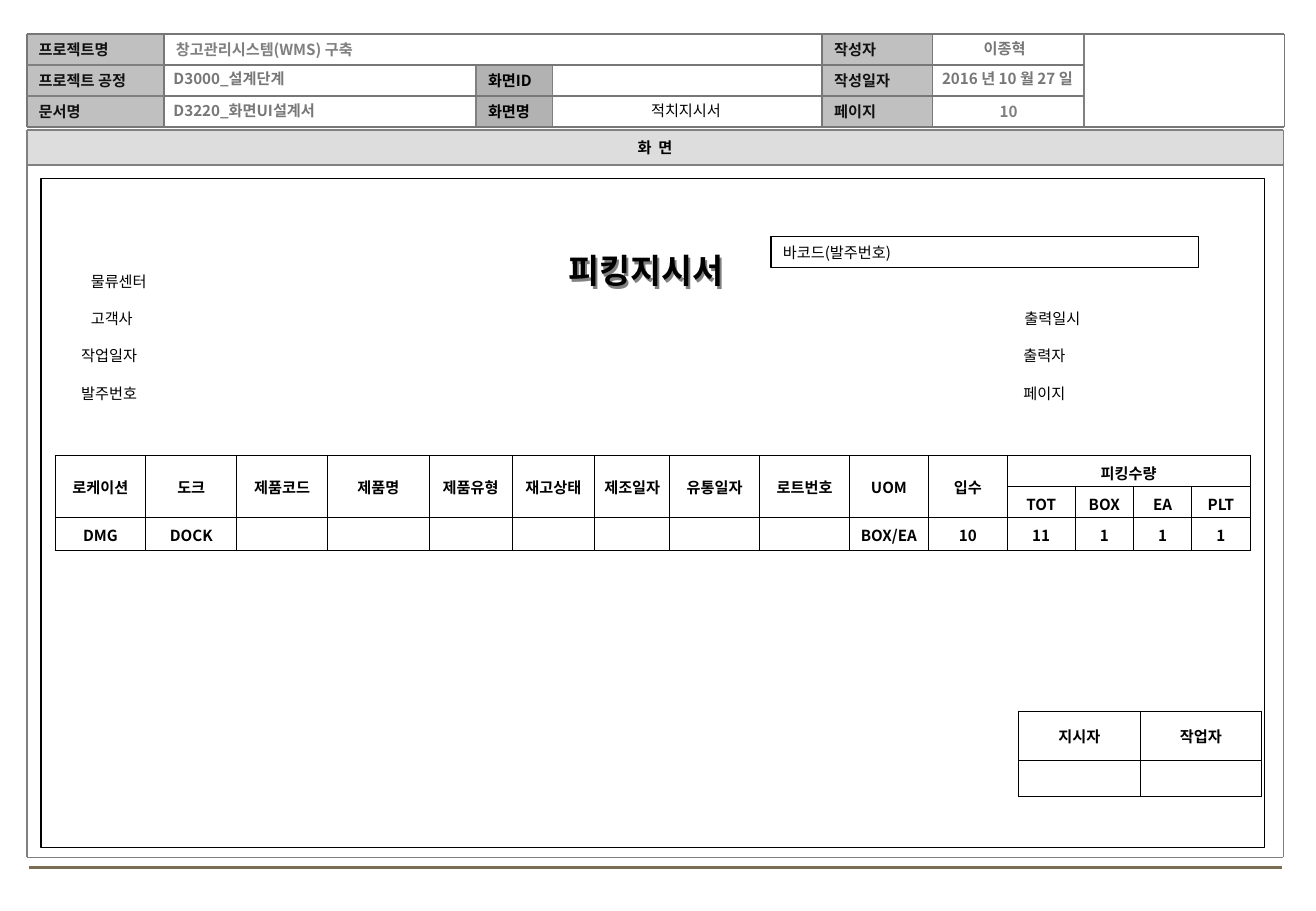
from itertools import accumulate

from lxml import etree
from pptx import Presentation, util as u
from pptx.dml.color import RGBColor
from pptx.enum import shapes, text
from pptx.oxml.ns import qn

FONT = "Noto Sans CJK KR"
BLACK, DARK, GRAY, MID, PALE = "000000", "111111", "777777", "808080", "7F7F7F"
MID_Y, TOP = text.MSO_ANCHOR.MIDDLE, text.MSO_ANCHOR.TOP
LEFT, CENTER = text.PP_ALIGN.LEFT, text.PP_ALIGN.CENTER
PAD = (0.25, 0.13)

# Grid of the document header, in cm
COLS = [0.56, 3.43, 9.96, 11.56, 17.2, 19.51, 22.68, 26.87]
ROWS = [0.71 + 0.65 * i for i in range(4)]
# Frame of the page below the header
EDGE_L, EDGE_R, EDGE_T, BAR_Y, EDGE_B = 0.56, 26.85, 2.72, 3.45, 17.93


def color(value):
    return RGBColor.from_string(value)


def sub(parent, tag, **attrs):
    return etree.SubElement(parent, qn(tag), attrs)


def add_run(para, words, size=9, tint=BLACK, bold=False):
    run = para.add_run()
    run.text = words
    font = run.font
    font.size, font.bold, font.name = u.Pt(size), bold, FONT
    font.color.rgb = color(tint)
    sub(run._r.get_or_add_rPr(), "a:ea", typeface=FONT)
    return run


def write(shape, words, align=LEFT, anchor=TOP, pad=PAD, **look):
    """Fill a shape's text frame with one run; look goes to add_run."""
    frame = shape.text_frame
    frame.word_wrap, frame.vertical_anchor = True, anchor
    frame.margin_left = frame.margin_right = u.Cm(pad[0])
    frame.margin_top = frame.margin_bottom = u.Cm(pad[1])
    para = frame.paragraphs[0]
    para.alignment = align
    return add_run(para, words, **look)


def add_label(slide, x, y, w, h, words, **look):
    box = slide.shapes.add_textbox(u.Cm(x), u.Cm(y), u.Cm(w), u.Cm(h))
    write(box, words, **look)
    return box


def add_rect(slide, x, y, w, h, fill=None, line=None):
    rect = slide.shapes.add_shape(shapes.MSO_SHAPE.RECTANGLE,
                                  u.Cm(x), u.Cm(y), u.Cm(w), u.Cm(h))
    rect.shadow.inherit = False
    if fill:
        rect.fill.solid()
        rect.fill.fore_color.rgb = color(fill)
    else:
        rect.fill.background()
    if line:
        rect.line.color.rgb = color(line)
        rect.line.width = u.Pt(0.75)
    else:
        rect.line.fill.background()
    return rect


def add_line(slide, x1, y1, x2, y2, tint=GRAY, width=1):
    line = slide.shapes.add_connector(shapes.MSO_CONNECTOR.STRAIGHT,
                                      u.Cm(x1), u.Cm(y1), u.Cm(x2), u.Cm(y2))
    line.line.color.rgb = color(tint)
    line.line.width = u.Pt(width)
    sub(line._element.spPr, "a:effectLst")


def add_shadow(box):
    """Let the text of an unfilled box cast a gray shadow."""
    effect = sub(box._element.spPr, "a:effectLst")
    shade = sub(effect, "a:outerShdw", dist="25400", dir="2700000",
                algn="tl", rotWithShape="0")
    sub(shade, "a:srgbClr", val=MID)


def style_cell(cell, words):
    cell.vertical_anchor = MID_Y
    cell.margin_left = cell.margin_right = u.Cm(0.03)
    cell.margin_top = cell.margin_bottom = u.Cm(0.13)
    props = cell._tc.get_or_add_tcPr()
    for side in "LRTB":
        edge = sub(props, f"a:ln{side}", w=str(u.Pt(0.45)))
        sub(sub(edge, "a:solidFill"), "a:srgbClr", val=BLACK)
    cell.fill.background()
    para = cell.text_frame.paragraphs[0]
    para.alignment = CENTER
    if words:
        add_run(para, words, bold=True)
    else:
        sub(para._p, "a:endParaRPr", sz="900")


def add_grid(slide, x, y, widths, heights, data):
    frame = slide.shapes.add_table(len(heights), len(widths), u.Cm(x), u.Cm(y),
                                   u.Cm(sum(widths)), u.Cm(sum(heights)))
    table = frame.table
    table.first_row = table.horz_banding = False
    for col, width in zip(table.columns, widths):
        col.width = u.Cm(width)
    for row, height, line in zip(table.rows, heights, data):
        row.height = u.Cm(height)
        for cell, words in zip(row.cells, line):
            style_cell(cell, words)
    return table


def add_header(slide):
    keys = [(0, 0, "프로젝트명"), (4, 0, "작성자"),
            (0, 1, "프로젝트 공정"), (2, 1, "화면ID"), (4, 1, "작성일자"),
            (0, 2, "문서명"), (2, 2, "화면명"), (4, 2, "페이지")]
    for col, row, words in keys:
        fill, tint = ("B2B2B2", BLACK) if col == 2 else ("C0C0C0", DARK)
        rect = add_rect(slide, COLS[col], ROWS[row],
                        COLS[col + 1] - COLS[col], 0.65, fill)
        write(rect, words, anchor=MID_Y, tint=tint, bold=True)

    for i, x in enumerate(COLS):
        top = ROWS[1] if i in (2, 3) else ROWS[0]
        add_line(slide, x, top, x, ROWS[3], MID if i in (2, 3, 6) else GRAY)
    for y in ROWS[1:3]:
        add_line(slide, COLS[0], y, COLS[1], y, MID)
        add_line(slide, COLS[1], y, COLS[6], y)
    for y in (ROWS[0], ROWS[3]):
        add_line(slide, COLS[0], y, COLS[7], y)

    add_label(slide, COLS[1], ROWS[0], 13.77, 0.65, "창고관리시스템(WMS) 구축",
              anchor=MID_Y, tint=PALE, bold=True)
    add_label(slide, 3.38, 1.32, 13.77, 0.64, "D3000_설계단계", tint=GRAY, bold=True)
    add_label(slide, 3.38, 1.98, 13.77, 0.64, "D3220_화면UI설계서", tint=GRAY, bold=True)
    add_label(slide, 11.58, 1.98, 5.54, 0.64, "적치지시서", align=CENTER)
    for x, y, w, words, tint in [(19.02, 0.69, 3.99, "이종혁", GRAY),
                                 (19.08, 1.32, 3.99, "2016 년 10 월 27 일", GRAY),
                                 (19.51, 2.01, 3.18, "10", PALE)]:
        add_label(slide, x, y, w, 0.64, words, align=CENTER, tint=tint, bold=True)


def add_frame(slide):
    bar = add_rect(slide, EDGE_L, EDGE_T, EDGE_R - EDGE_L, BAR_Y - EDGE_T, "DDDDDD")
    run = write(bar, "화 면", align=CENTER, anchor=MID_Y, pad=(0.05, 0), bold=True)
    run._r.get_or_add_rPr().set("spc", "100")
    for y in (EDGE_T, BAR_Y, EDGE_B):
        add_line(slide, EDGE_L, y, EDGE_R, y, MID)
    for x in (EDGE_L, EDGE_R):
        add_line(slide, x, EDGE_T, x, EDGE_B, MID)
    add_line(slide, 0.61, 18.14, 26.82, 18.14, "7A6F54", 1.75)


def add_sheet(slide):
    add_rect(slide, 0.86, 3.73, 25.6, 14.0, line=BLACK)
    title = add_label(slide, 11.84, 5.13, 4.0, 1.04, "피킹지시서",
                      pad=(0.05, 0.1), size=20, bold=True)
    add_shadow(title)
    code = add_rect(slide, 16.13, 4.95, 8.94, 0.64, line=BLACK)
    write(code, "바코드(발주번호)")

    tops = list(accumulate([5.56, 0.78, 0.78, 0.78]))
    left = zip((1.65, 1.65, 1.45, 1.45), tops,
               ("물류센터", "고객사", "작업일자", "발주번호"))
    right = zip((21.18, 21.16, 21.16), tops[1:], ("출력일시", "출력자", "페이지"))
    for x, y, words in [*left, *right]:
        add_label(slide, x, y, 2.18, 0.64, words)


def add_picks(slide):
    heads = ["로케이션", "도크", "제품코드", "제품명", "제품유형", "재고상태",
             "제조일자", "유통일자", "로트번호", "UOM", "입수"]
    widths = [1.9, 1.9, 1.9, 2.13, 1.73, 1.73, 1.57, 1.88, 1.88, 1.65, 1.65,
              1.42, 1.22, 1.22, 1.22]
    data = [heads + ["피킹수량", "", "", ""],
            [""] * len(heads) + ["TOT", "BOX", "EA", "PLT"],
            ["DMG", "DOCK"] + [""] * 7 + ["BOX/EA", "10", "11", "1", "1", "1"]]
    table = add_grid(slide, 1.15, 9.53, widths, [0.64, 0.62, 0.69], data)
    for col in range(len(heads)):
        table.cell(0, col).merge(table.cell(1, col))
    table.cell(0, 11).merge(table.cell(0, 14))


def main():
    deck = Presentation()
    deck.slide_width, deck.slide_height = u.Cm(27.53), u.Cm(19.05)
    slide = deck.slides.add_slide(deck.slide_layouts[6])
    add_header(slide)
    add_frame(slide)
    add_sheet(slide)
    add_picks(slide)
    add_grid(slide, 21.31, 14.88, [2.54, 2.54], [1.02, 0.76],
             [["지시자", "작업자"], ["", ""]])
    deck.save("out.pptx")


if __name__ == "__main__":
    main()
